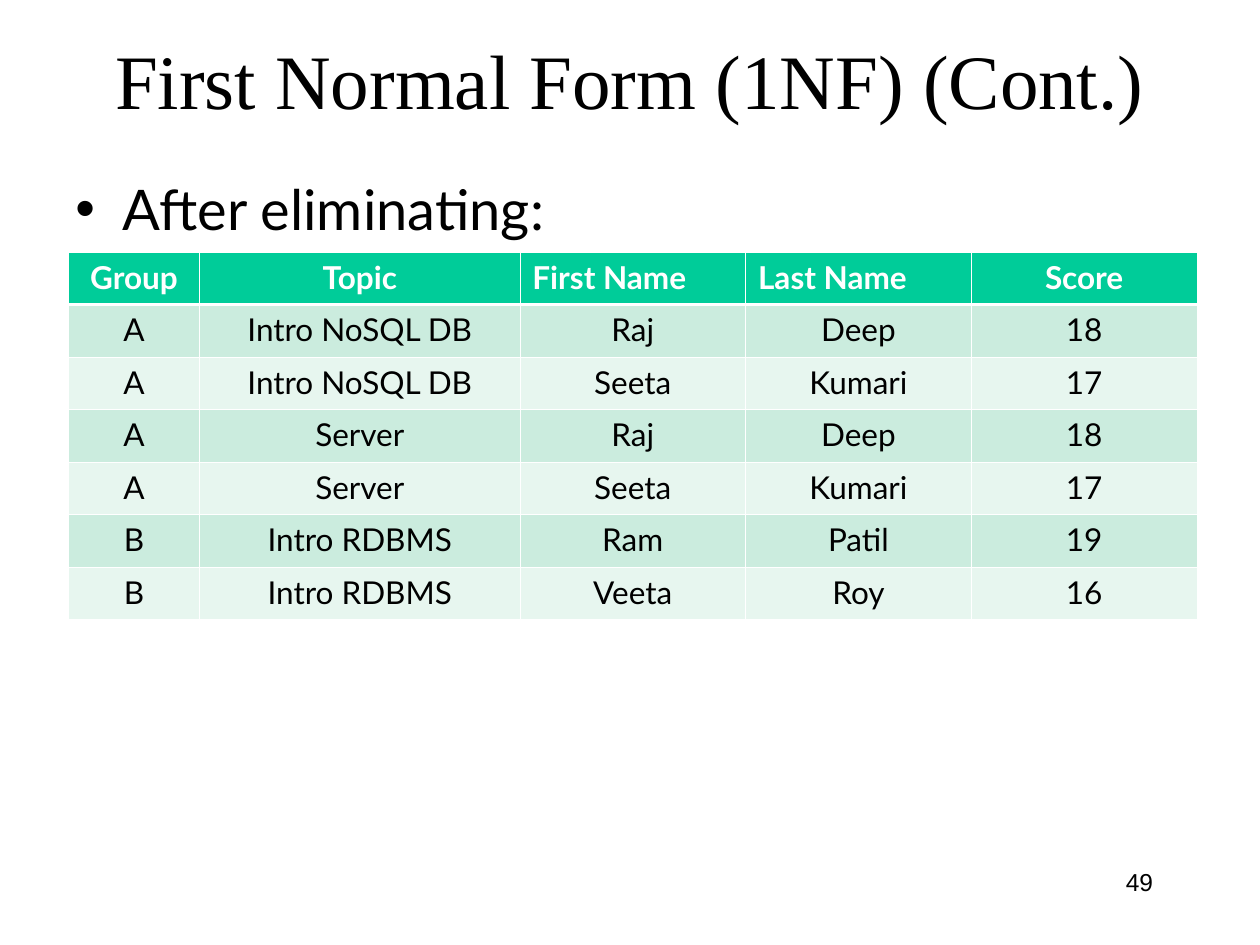
from lxml.etree import SubElement
from pptx import Presentation
from pptx.dml.color import RGBColor
from pptx.enum.text import MSO_ANCHOR, PP_ALIGN
from pptx.oxml.ns import qn
from pptx.util import Pt

TITLE = "First Normal Form (1NF) (Cont.)"
BULLET = "After eliminating:"
PAGE = "49"
HEADER = ["Group", "Topic", "First Name", "Last Name", "Score"]
SCORES = [
    ("A", "Intro NoSQL DB", "Raj", "Deep", "18"),
    ("A", "Intro NoSQL DB", "Seeta", "Kumari", "17"),
    ("A", "Server", "Raj", "Deep", "18"),
    ("A", "Server", "Seeta", "Kumari", "17"),
    ("B", "Intro RDBMS", "Ram", "Patil", "19"),
    ("B", "Intro RDBMS", "Veeta", "Roy", "16"),
]
LEFT_HEADERS = {"First Name", "Last Name"}
COL_WIDTHS = [75.2, 182.9, 129, 129, 129]
ROW_HEIGHT = 30
HEADER_FILL, BANDS = "00CC99", ["CBECDE", "E7F6EF"]
THIN, THICK = 0.45, 1.47


def rgb(value):
    return RGBColor.from_string(value)


def write(tf, text, align, color="000000", **font):
    p = tf.paragraphs[0]
    p.alignment = align
    r = p.add_run()
    r.text = text
    r.font.color.rgb = rgb(color)
    for name, value in font.items():
        setattr(r.font, name, value)
    return p


def add_text(s, box, text, align, anchor=MSO_ANCHOR.TOP, **font):
    tf = s.shapes.add_textbox(*map(Pt, box)).text_frame
    tf.word_wrap = True
    tf.vertical_anchor = anchor
    return write(tf, text, align, **font)


def add_bullet(p, indent):
    p.space_before = Pt(8)
    pPr = p._p.get_or_add_pPr()
    pPr.set("marL", str(Pt(indent)))
    pPr.set("indent", str(-Pt(indent)))
    SubElement(pPr, qn("a:buFont")).set("typeface", "Arial")
    SubElement(pPr, qn("a:buChar")).set("char", "•")


def set_borders(cell, widths):
    tcPr = cell._tc.get_or_add_tcPr()
    for side, width in widths.items():
        ln = SubElement(tcPr, qn(f"a:ln{side}"), w=str(Pt(width)))
        fill = SubElement(ln, qn("a:solidFill"))
        SubElement(fill, qn("a:srgbClr")).set("val", "FFFFFF")


def add_scores(s, left, top):
    rows = [HEADER, *SCORES]
    size = sum(COL_WIDTHS), ROW_HEIGHT * len(rows)
    table = s.shapes.add_table(
        len(rows), len(HEADER), *map(Pt, (left, top, *size))
    ).table
    for column, width in zip(table.columns, COL_WIDTHS):
        column.width = Pt(width)
    for i, row in enumerate(rows):
        is_header = i == 0
        for j, text in enumerate(row):
            cell = table.cell(i, j)
            align = PP_ALIGN.LEFT if text in LEFT_HEADERS else PP_ALIGN.CENTER
            write(cell.text_frame, text, align,
                  color="FFFFFF" if is_header else "000000",
                  name="Lato", size=Pt(18), bold=is_header)
            set_borders(cell, {"L": THIN, "R": THIN,
                               "T": THICK if i == 1 else THIN,
                               "B": THICK if is_header else THIN})
            cell.fill.solid()
            fill = HEADER_FILL if is_header else BANDS[(i - 1) % 2]
            cell.fill.fore_color.rgb = rgb(fill)


def main():
    prs = Presentation()
    prs.slide_width, prs.slide_height = Pt(720), Pt(540)
    s = prs.slides.add_slide(prs.slide_layouts[6])
    add_text(s, (54, 0, 612, 90), TITLE, PP_ALIGN.CENTER, MSO_ANCHOR.MIDDLE,
             name="Times New Roman", size=Pt(44))
    p = add_text(s, (36, 96, 648, 389), BULLET, PP_ALIGN.LEFT,
                 name="Lato", size=Pt(32))
    add_bullet(p, 27)
    add_text(s, (516, 492, 150, 36), PAGE, PP_ALIGN.RIGHT,
             name="Arial", size=Pt(14))
    add_scores(s, 39, 144)
    prs.save("out.pptx")


if __name__ == "__main__":
    main()
